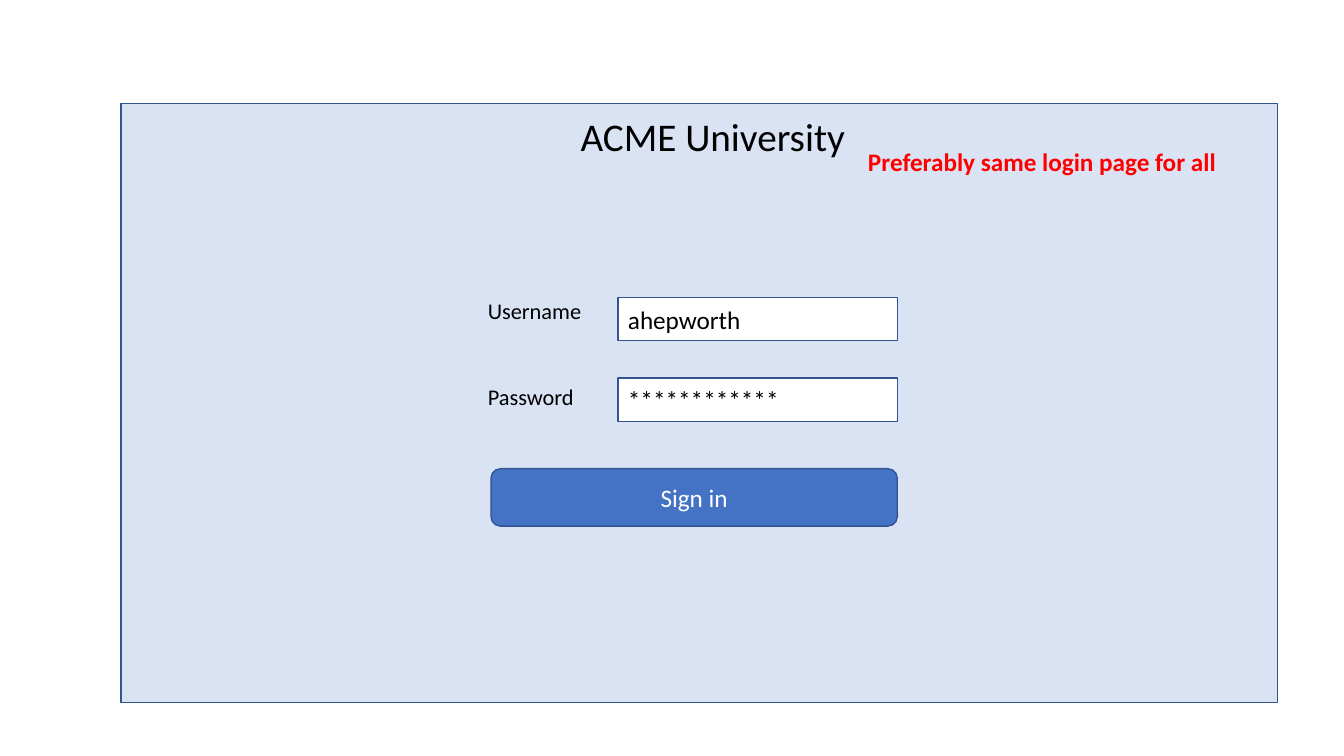
from pptx import Presentation
from pptx.dml.color import RGBColor
from pptx.enum.shapes import MSO_SHAPE
from pptx.enum.text import MSO_ANCHOR, MSO_AUTO_SIZE, PP_ALIGN
from pptx.util import Inches, Pt

# Content
FONT = "Calibri"
BLACK, WHITE, RED = "000000", "FFFFFF", "FF0000"
PANEL, BLUE, OUTLINE = "DAE3F3", "4472C4", "325491"

# Text, left, top, width, height, size, colour, bold
HEADINGS = [
    ("ACME University", 5.66, 1.07, 2.85, 0.57, 28, BLACK, False),
    ("Preferably same login page for all", 8.51, 1.4, 3.68, 0.4, 18, RED, True),
]
# Label, label top, label width, field value
FIELDS = [
    ("Username", 2.9, 1.14, "ahepworth"),
    ("Password", 3.75, 1.07, "************"),
]
LABEL_LEFT, LABEL_HEIGHT = 4.74, 0.37
FIELD_LEFT, FIELD_TOP, FIELD_WIDTH, FIELD_HEIGHT = 6.13, 2.95, 2.77, 0.43
FIELD_STEP = 0.8
BUTTON_LEFT, BUTTON_TOP, BUTTON_HEIGHT = 4.87, 4.65, 0.57


def colour(value):
    return RGBColor.from_string(value)


def write(shape, text, size, text_colour, bold=False, align=PP_ALIGN.LEFT):
    para = shape.text_frame.paragraphs[0]
    para.alignment = align
    span = para.add_run()
    span.text = text
    span.font.name = FONT
    span.font.size = Pt(size)
    span.font.bold = bold
    span.font.color.rgb = colour(text_colour)


def add_label(page, text, left, top, width, height, size, text_colour, bold=False):
    box = page.shapes.add_textbox(*map(Inches, (left, top, width, height)))
    box.text_frame.word_wrap = False
    box.text_frame.auto_size = MSO_AUTO_SIZE.SHAPE_TO_FIT_TEXT
    write(box, text, size, text_colour, bold)


def add_box(page, kind, left, top, width, height, fill):
    box = page.shapes.add_shape(kind, *map(Inches, (left, top, width, height)))
    box.shadow.inherit = False
    box.fill.solid()
    box.fill.fore_color.rgb = colour(fill)
    box.line.color.rgb = colour(OUTLINE)
    box.line.width = Pt(1)
    box.text_frame.vertical_anchor = MSO_ANCHOR.MIDDLE
    return box


def main():
    deck = Presentation()
    deck.slide_width, deck.slide_height = Inches(13.33), Inches(7.5)
    page = deck.slides.add_slide(deck.slide_layouts[6])

    # Login panel and headings
    add_box(page, MSO_SHAPE.RECTANGLE, 1.2, 1.03, 11.47, 5.94, PANEL)
    for heading in HEADINGS:
        add_label(page, *heading)

    # Labelled input fields
    for row, (label, label_top, label_width, value) in enumerate(FIELDS):
        field = add_box(page, MSO_SHAPE.RECTANGLE, FIELD_LEFT,
                        FIELD_TOP + row * FIELD_STEP, FIELD_WIDTH, FIELD_HEIGHT, WHITE)
        write(field, value, 18, BLACK)
        add_label(page, label, LABEL_LEFT, label_top, label_width, LABEL_HEIGHT, 16, BLACK)

    # Button, ending flush with the fields
    button_width = FIELD_LEFT + FIELD_WIDTH - BUTTON_LEFT
    button = add_box(page, MSO_SHAPE.ROUNDED_RECTANGLE, BUTTON_LEFT, BUTTON_TOP,
                     button_width, BUTTON_HEIGHT, BLUE)
    write(button, "Sign in", 18, WHITE, align=PP_ALIGN.CENTER)

    deck.save("out.pptx")


if __name__ == "__main__":
    main()
